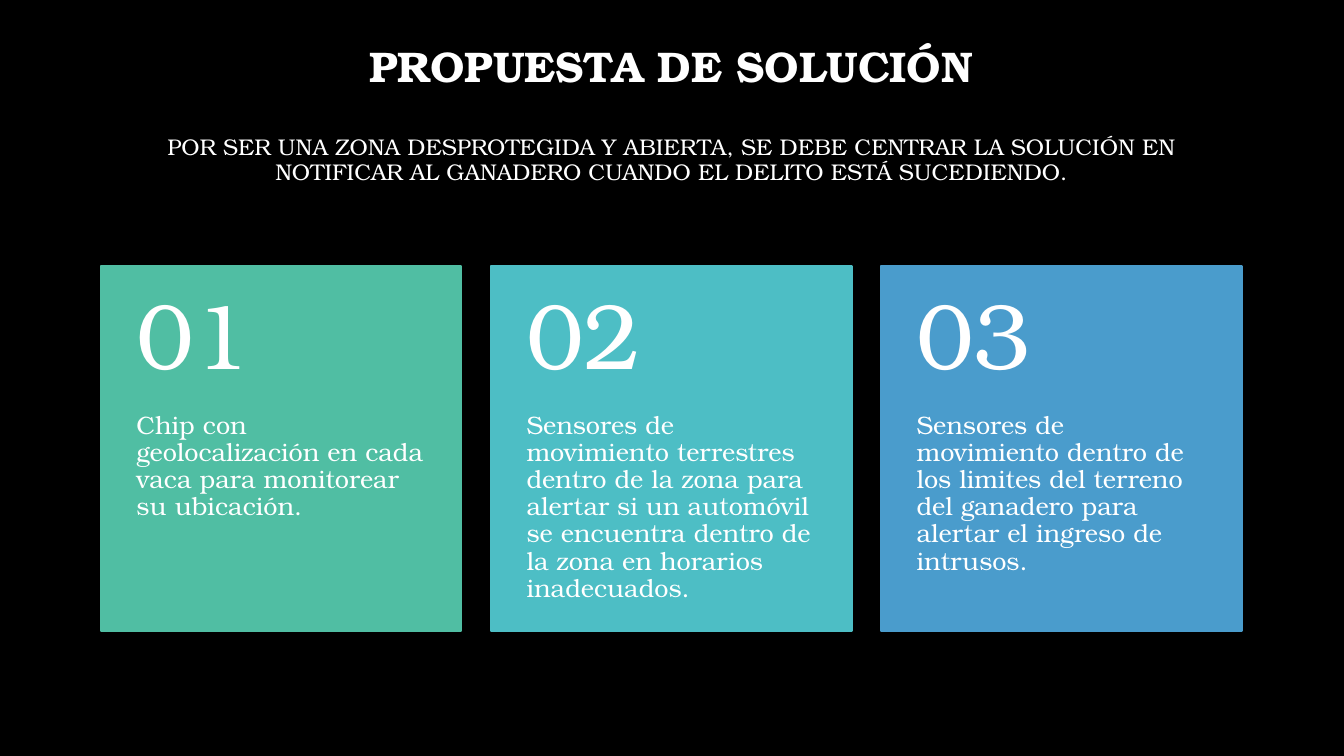
"""Build the slide "Propuesta de solución" with three numbered cards."""
from dataclasses import dataclass

from lxml import etree
from pptx import Presentation
from pptx.dml.color import RGBColor
from pptx.enum.shapes import MSO_SHAPE
from pptx.enum.text import MSO_ANCHOR, MSO_AUTO_SIZE, PP_ALIGN
from pptx.oxml.ns import qn
from pptx.util import Cm, Pt

RECT = MSO_SHAPE.RECTANGLE
TOP, MIDDLE = MSO_ANCHOR.TOP, MSO_ANCHOR.MIDDLE
LEFT, CENTER = PP_ALIGN.LEFT, PP_ALIGN.CENTER
NO_AUTOFIT = MSO_AUTO_SIZE.NONE
BLACK = RGBColor(0x00, 0x00, 0x00)
WHITE = RGBColor(0xFF, 0xFF, 0xFF)
GREEN = RGBColor(0x50, 0xBE, 0xA3)
TEAL = RGBColor(0x4D, 0xBE, 0xC5)
BLUE = RGBColor(0x4A, 0x9C, 0xCC)
FONT = "TeX Gyre Bonum"
SLIDE_W, SLIDE_H = Cm(33.87), Cm(19.05)
MARGIN, CARD_TOP = Cm(2.54), Cm(6.71)
CARD_W, CARD_H, CARD_PITCH = Cm(9.09), Cm(9.19), Cm(9.83)
NUMBER_H = Cm(3.68)
BAND_TOP = Cm(5.82)
PAD_X, PAD_NUMBER, PAD_BODY = Cm(0.9), Cm(0.46), Cm(0.91)


@dataclass
class Card:
    color: RGBColor
    text: str


CARDS = [
    Card(GREEN, "Chip con geolocalización en cada vaca para monitorear su ubicación."),
    Card(TEAL, "Sensores de movimiento terrestres dentro de la zona para alertar si un "
               "automóvil se encuentra dentro de la zona en horarios inadecuados."),
    Card(BLUE, "Sensores de movimiento dentro de los limites del terreno del ganadero "
               "para alertar el ingreso de intrusos."),
]


def set_frame(tf, anchor, left: int, top: int, right: int, bottom: int) -> None:
    """Set wrapping, anchor and insets of a text frame."""
    values = {"word_wrap": True, "auto_size": NO_AUTOFIT, "vertical_anchor": anchor,
              "margin_left": left, "margin_top": top,
              "margin_right": right, "margin_bottom": bottom}
    for name, value in values.items():
        setattr(tf, name, value)


def write(p, text: str, size: float, align=LEFT, bold: bool = False, before: float = 0) -> None:
    """Write one formatted run into a paragraph."""
    for name, value in {"alignment": align, "line_spacing": 0.9,
                        "space_before": Pt(before), "space_after": Pt(0)}.items():
        setattr(p, name, value)
    r = p.add_run()
    r.text = text
    for name, value in {"name": FONT, "size": Pt(size), "bold": bold}.items():
        setattr(r.font, name, value)
    r.font.color.rgb = WHITE


def add_rect(shapes, left: int, top: int, width: int, height: int, color: RGBColor):
    """Add a plain filled rectangle without shadow or outline."""
    sp = shapes.add_shape(RECT, left, top, width, height)
    sp.shadow.inherit = False
    sp.fill.solid()
    sp.fill.fore_color.rgb = color
    sp.line.fill.background()
    return sp


def add_card(s, index: int, card: Card) -> None:
    """Add one card as a group of panel, body text and number."""
    left = MARGIN + index * CARD_PITCH
    shapes = s.shapes.add_group_shape().shapes
    panel = add_rect(shapes, left, CARD_TOP, CARD_W, CARD_H, card.color)
    panel.line.color.rgb = card.color
    panel.line.width = Pt(1.5)
    body = shapes.add_textbox(left, CARD_TOP + NUMBER_H, CARD_W, CARD_H - NUMBER_H)
    set_frame(body.text_frame, TOP, PAD_X, 0, PAD_X, PAD_BODY)
    write(body.text_frame.paragraphs[0], card.text, 18)
    number = shapes.add_textbox(left, CARD_TOP, CARD_W, NUMBER_H)
    set_frame(number.text_frame, MIDDLE, PAD_X, PAD_NUMBER, PAD_X, PAD_NUMBER)
    write(number.text_frame.paragraphs[0], f"{index + 1:02d}", 66)


def add_title(s) -> None:
    """Place the title and its subtitle in the title placeholder."""
    title = s.shapes.title
    box = {"left": MARGIN, "top": Cm(1.7), "width": Cm(28.75), "height": NUMBER_H}
    for name, value in box.items():
        setattr(title, name, value)
    tf = title.text_frame
    set_frame(tf, MIDDLE, Cm(0.25), 0, Cm(0.25), Cm(1.27))
    write(tf.paragraphs[0], "PROPUESTA DE SOLUCIÓN", 30.6, CENTER, True)
    write(tf.add_paragraph(), "POR SER UNA ZONA DESPROTEGIDA Y ABIERTA, SE DEBE CENTRAR LA "
          "SOLUCIÓN EN NOTIFICAR AL GANADERO CUANDO EL DELITO ESTÁ SUCEDIENDO.",
          16.2, CENTER, before=31.5)


def main() -> None:
    """Build and save the presentation."""
    prs = Presentation()
    prs.slide_width, prs.slide_height = SLIDE_W, SLIDE_H
    s = prs.slides.add_slide(prs.slide_layouts[5])
    s.background.fill.solid()
    s.background.fill.fore_color.rgb = BLACK
    add_title(s)
    band = add_rect(s.shapes, 0, BAND_TOP, SLIDE_W, SLIDE_H - BAND_TOP, BLACK)
    color = band.fill._xPr.find(qn("a:solidFill"))[0]
    etree.SubElement(color, qn("a:alpha"), val="50000")
    for index, card in enumerate(CARDS):
        add_card(s, index, card)
    prs.save("out.pptx")


main()
